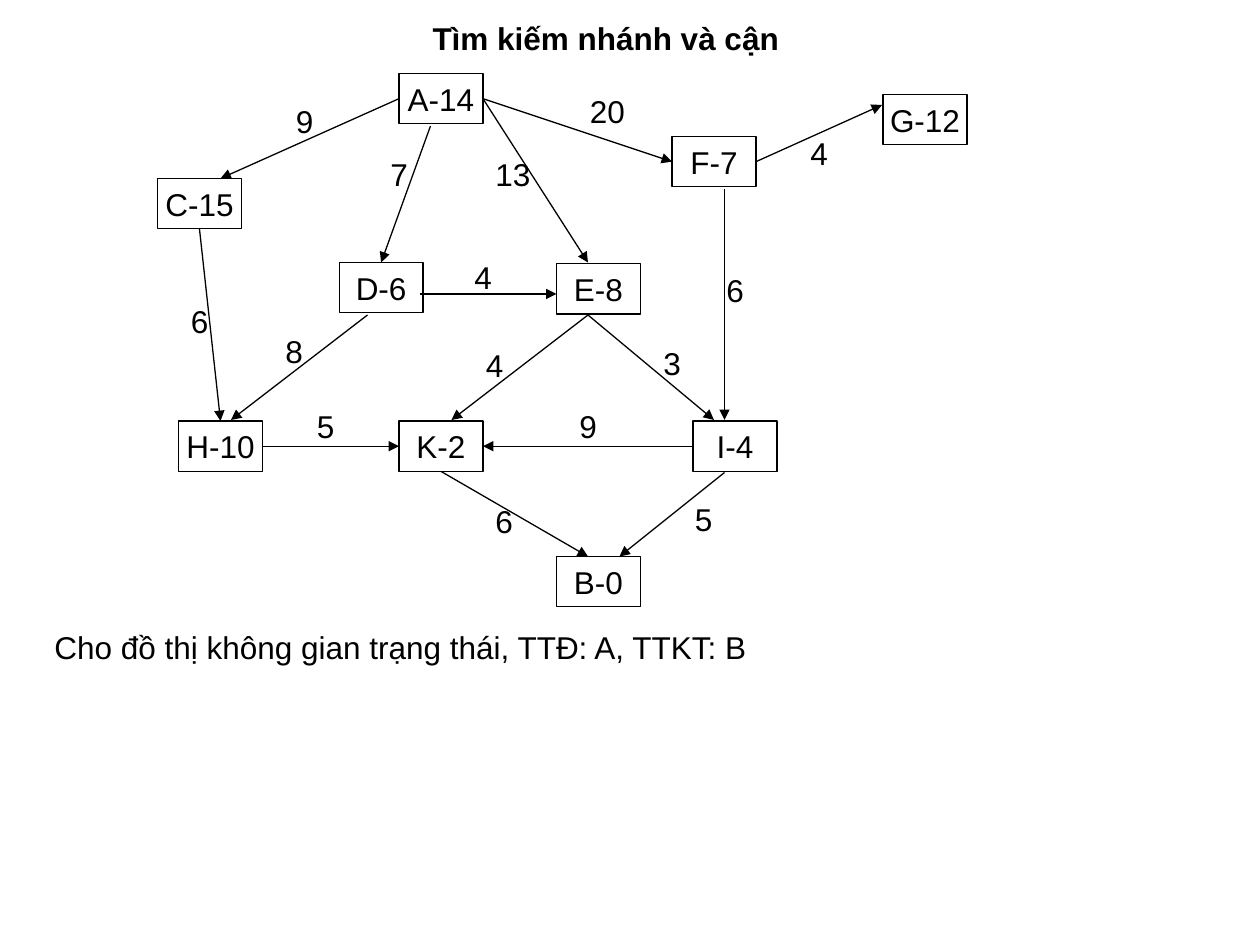
from dataclasses import dataclass
from typing import NamedTuple

from lxml.etree import SubElement
from pptx import Presentation
from pptx.dml.color import RGBColor
from pptx.enum.shapes import MSO_CONNECTOR as Connector, MSO_SHAPE as Preset
from pptx.enum.text import MSO_ANCHOR as Anchor, MSO_AUTO_SIZE as AutoSize, PP_ALIGN as Align
from pptx.oxml.ns import qn
from pptx.util import Emu, Pt

PX_PER_INCH = 120
EMU_PER_PX = 914400 // PX_PER_INCH
TOP, LEFT, BOTTOM, RIGHT = range(4)


@dataclass(frozen=True)
class Theme:
    ink: RGBColor = RGBColor(0, 0, 0)
    font: str = "Arial"
    text_size: float = 18
    space_before: float = 11.2
    line_width: float = 0.75
    inset_x: int = 12
    inset_y: int = 6
    node_width: int = 80
    label_width: int = 60
    row_height: int = 48


class Node(NamedTuple):
    text: str
    x: int
    y: int


class Label(NamedTuple):
    text: str
    x: int
    y: int
    width: int
    align: Align = Align.LEFT
    bold: bool = False


Point = tuple[int, int]


class Edge(NamedTuple):
    start: str
    start_port: int | Point
    end: str
    end_port: int | Point


THEME = Theme()

NODES = [
    Node("A-14", 380, 70),
    Node("C-15", 150, 170),
    Node("D-6", 323, 250),
    Node("E-8", 530, 251),
    Node("F-7", 640, 130),
    Node("G-12", 841, 90),
    Node("H-10", 170, 401),
    Node("K-2", 380, 401),
    Node("I-4", 660, 401),
    Node("B-0", 530, 530),
]

EDGES = [
    Edge("I", (690, 450), "B", (590, 530)),
    Edge("K", BOTTOM, "B", (560, 530)),
    Edge("I", LEFT, "K", RIGHT),
    Edge("E", (560, 300), "K", (430, 400)),
    Edge("E", (560, 300), "I", (680, 400)),
    Edge("H", RIGHT, "K", LEFT),
    Edge("D", (350, 300), "H", (220, 400)),
    Edge("D", (400, 280), "E", (530, 280)),
    Edge("C", BOTTOM, "H", TOP),
    Edge("A", LEFT, "C", (210, 170)),
    Edge("A", (410, 120), "D", TOP),
    Edge("A", RIGHT, "E", (560, 250)),
    Edge("A", RIGHT, "F", LEFT),
    Edge("F", RIGHT, "G", (840, 100)),
    Edge("F", (690, 180), "I", (690, 400)),
]

COSTS = [
    ("9", 270, 91),
    ("7", 360, 142),
    ("13", 460, 142),
    ("20", 550, 82),
    ("4", 760, 122),
    ("6", 680, 252),
    ("5", 650, 470),
    ("6", 460, 472),
    ("9", 540, 382),
    ("4", 451, 324),
    ("5", 290, 382),
    ("8", 260, 310),
    ("6", 170, 282),
    ("3", 620, 322),
    ("4", 440, 240),
]

CAPTION = Label("Cho đồ thị không gian trạng thái, TTĐ: A, TTKT: B", 40, 592, 1110)
TITLE = Label("Tìm kiếm nhánh và cận", 302, 12, 550, Align.CENTER, True)


def px(length: int) -> Emu:
    return Emu(length * EMU_PER_PX)


def write_text(box, text: str, align: Align, inset_x: int, bold: bool = False) -> None:
    frame = box.text_frame
    frame.text = text
    frame.word_wrap = True
    frame.auto_size = AutoSize.SHAPE_TO_FIT_TEXT
    frame.vertical_anchor = Anchor.TOP
    frame.margin_left = frame.margin_right = px(inset_x)
    frame.margin_top = frame.margin_bottom = px(THEME.inset_y)
    para = frame.paragraphs[0]
    para.alignment = align
    para.space_before = Pt(THEME.space_before)
    span = para.runs[0]
    span.font.name = THEME.font
    span.font.size = Pt(THEME.text_size)
    span.font.bold = bold
    span.font.color.rgb = THEME.ink


def style_line(line) -> None:
    line.color.rgb = THEME.ink
    line.width = Pt(THEME.line_width)


def draw_node(page, node: Node):
    box = page.shapes.add_shape(
        Preset.RECTANGLE, px(node.x), px(node.y), px(THEME.node_width), px(THEME.row_height)
    )
    box.shadow.inherit = False
    box.fill.background()
    style_line(box.line)
    write_text(box, node.text, Align.CENTER, 0)
    return box


def draw_edge(page, edge: Edge, boxes: dict) -> None:
    start = edge.start_port if isinstance(edge.start_port, tuple) else (0, 0)
    end = edge.end_port if isinstance(edge.end_port, tuple) else (0, 0)
    arrow = page.shapes.add_connector(Connector.STRAIGHT, *map(px, start + end))
    if isinstance(edge.start_port, int):
        arrow.begin_connect(boxes[edge.start], edge.start_port)
    if isinstance(edge.end_port, int):
        arrow.end_connect(boxes[edge.end], edge.end_port)
    style_line(arrow.line)
    properties = arrow.line._get_or_add_ln()
    SubElement(properties, qn("a:tailEnd"), type="triangle")
    SubElement(properties.getparent(), qn("a:effectLst"))


def draw_label(page, label: Label) -> None:
    box = page.shapes.add_textbox(
        px(label.x), px(label.y), px(label.width), px(THEME.row_height)
    )
    write_text(box, label.text, label.align, THEME.inset_x, label.bold)


def main() -> None:
    deck = Presentation()
    deck.slide_width, deck.slide_height = px(1200), px(900)
    page = deck.slides.add_slide(deck.slide_layouts[6])
    boxes = {node.text[0]: draw_node(page, node) for node in NODES}
    for edge in EDGES:
        draw_edge(page, edge, boxes)
    for cost in COSTS:
        draw_label(page, Label(*cost, THEME.label_width))
    draw_label(page, CAPTION)
    draw_label(page, TITLE)
    deck.save("out.pptx")


if __name__ == "__main__":
    main()
